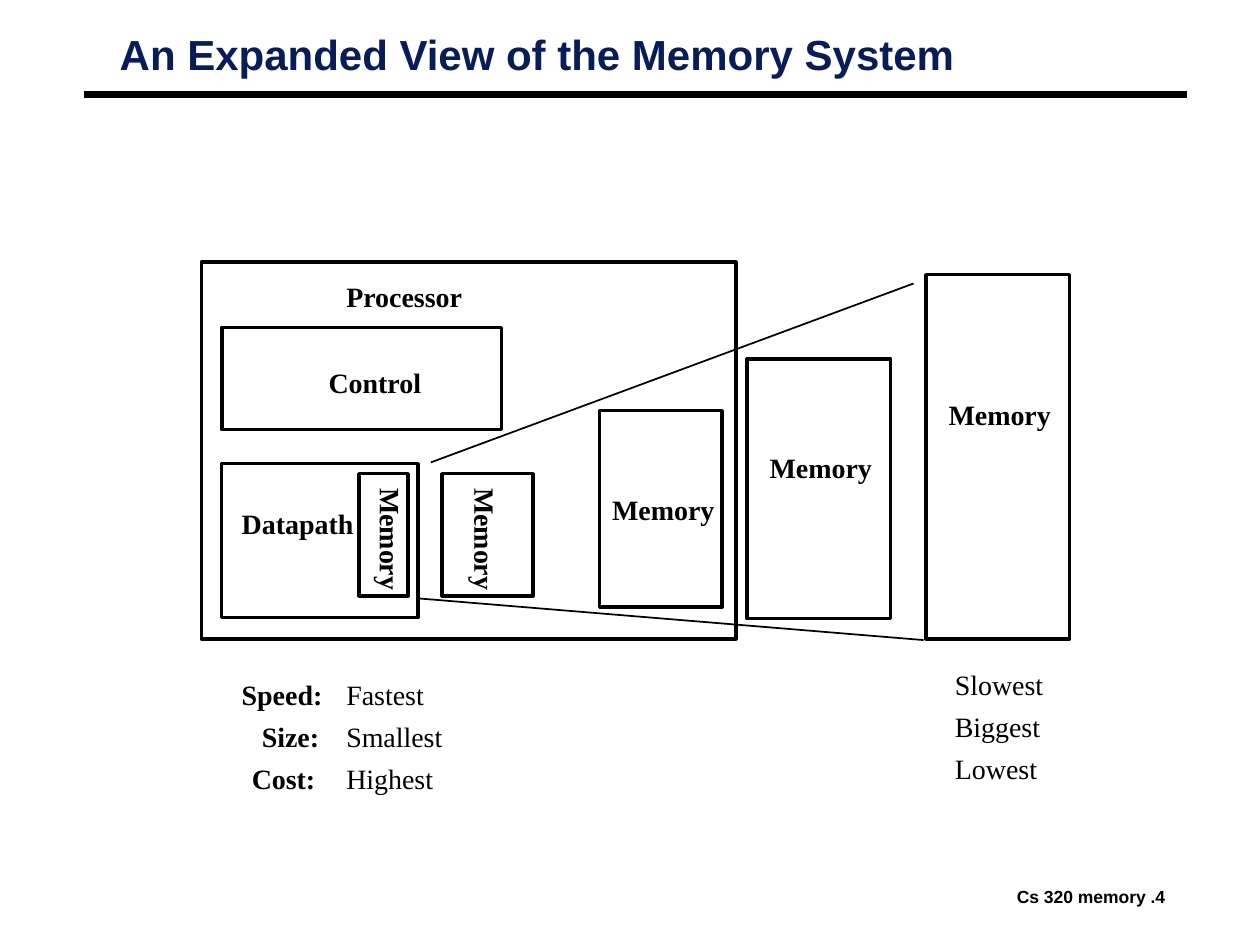
"""Build the slide on the expanded view of the memory system."""
from lxml.etree import SubElement
from pptx import Presentation
from pptx.dml.color import RGBColor
from pptx.enum.shapes import MSO_CONNECTOR, MSO_SHAPE
from pptx.enum.text import MSO_ANCHOR, MSO_AUTO_SIZE, PP_ALIGN
from pptx.oxml.ns import qn
from pptx.util import Inches, Pt

BLACK = RGBColor(0, 0, 0)
NAVY = RGBColor(0x08, 0x1D, 0x58)
SERIF = "Times New Roman"
SANS = "Arial"


def write(shape, text, size, font, color=BLACK, bold=True, margins=(0.1, 0.05)):
    frame = shape.text_frame
    frame.text = text
    frame.word_wrap = False
    frame.auto_size = MSO_AUTO_SIZE.NONE
    frame.vertical_anchor = MSO_ANCHOR.TOP
    frame.margin_left = frame.margin_right = Inches(margins[0])
    frame.margin_top = frame.margin_bottom = Inches(margins[1])
    para = frame.paragraphs[0]
    para.alignment = PP_ALIGN.LEFT
    span = para.runs[0]
    span.font.size = Pt(size)
    span.font.name = font
    span.font.bold = bold
    span.font.color.rgb = color


def draw_line(x1, y1, x2, y2, width):
    line = page.shapes.add_connector(
        MSO_CONNECTOR.STRAIGHT, Inches(x1), Inches(y1), Inches(x2), Inches(y2))
    line.line.color.rgb = BLACK
    line.line.width = Pt(width)
    SubElement(line._element.spPr, qn("a:effectLst"))


deck = Presentation()
deck.slide_width, deck.slide_height = Inches(10), Inches(7.5)
page = deck.slides.add_slide(deck.slide_layouts[5])

title = page.shapes.title
title.left, title.top = Inches(0.88), Inches(0.25)
title.width, title.height = Inches(6.77), Inches(0.4)
write(title, "An Expanded View of the Memory System", 24, SANS, NAVY, margins=(0.07, 0.03))
title.text_frame.paragraphs[0].line_spacing = 0.87

footer = page.shapes.add_textbox(Inches(8), Inches(7), Inches(1.42), Inches(0.22))
write(footer, "Cs 320 memory .4", 10, SANS, margins=(0.07, 0.03))

blocks = [
    (1.6, 2.08, 4.24, 2.99),
    (1.76, 2.6, 2.22, 0.81),
    (1.76, 3.68, 1.56, 1.22),
    (2.85, 3.76, 0.39, 0.97),
    (3.51, 3.76, 0.72, 0.97),
    (4.76, 3.26, 0.97, 1.56),
    (5.93, 2.85, 1.14, 2.06),
    (7.35, 2.18, 1.14, 2.89),
]
for block in blocks:
    box = page.shapes.add_shape(MSO_SHAPE.RECTANGLE, *map(Inches, block))
    box.shadow.inherit = False
    box.fill.background()
    box.line.color.rgb = BLACK
    box.line.width = Pt(2)

draw_line(0.67, 0.75, 9.42, 0.75, 4.5)
draw_line(3.42, 3.67, 7.25, 2.25, 1)
draw_line(3.33, 4.75, 7.33, 5.08, 1)

labels = [
    ("Processor", 2.65, 2.17, 1.12, 0, True),
    ("Control", 2.51, 2.85, 0.94, 0, True),
    ("Datapath", 1.82, 3.97, 1.09, 0, True),
    ("Memory", 2.6, 4.1, 1.01, 90, True),
    ("Memory", 3.35, 4.1, 1.01, 90, True),
    ("Memory", 4.76, 3.86, 1.01, 0, True),
    ("Memory", 6.01, 3.53, 1.01, 0, True),
    ("Memory", 7.43, 3.11, 1.01, 0, True),
]
properties = [
    (("Speed:", 1.82, 0.84), ("Fastest", 0.82), ("Slowest", 0.9)),
    (("Size:", 1.98, 0.66), ("Smallest", 0.97), ("Biggest", 0.88)),
    (("Cost:", 1.9, 0.7), ("Highest", 0.89), ("Lowest", 0.85)),
]
for row, (heading, near, far) in enumerate(properties):
    offset = row / 3
    labels += [
        (heading[0], heading[1], 5.33 + offset, heading[2], 0, True),
        (near[0], 2.65, 5.33 + offset, near[1], 0, False),
        (far[0], 7.48, 5.25 + offset, far[1], 0, False),
    ]
for text, left, top, width, angle, bold in labels:
    label = page.shapes.add_textbox(Inches(left), Inches(top), Inches(width), Inches(0.36))
    label.rotation = angle
    write(label, text, 16, SERIF, bold=bold)

deck.save("out.pptx")
